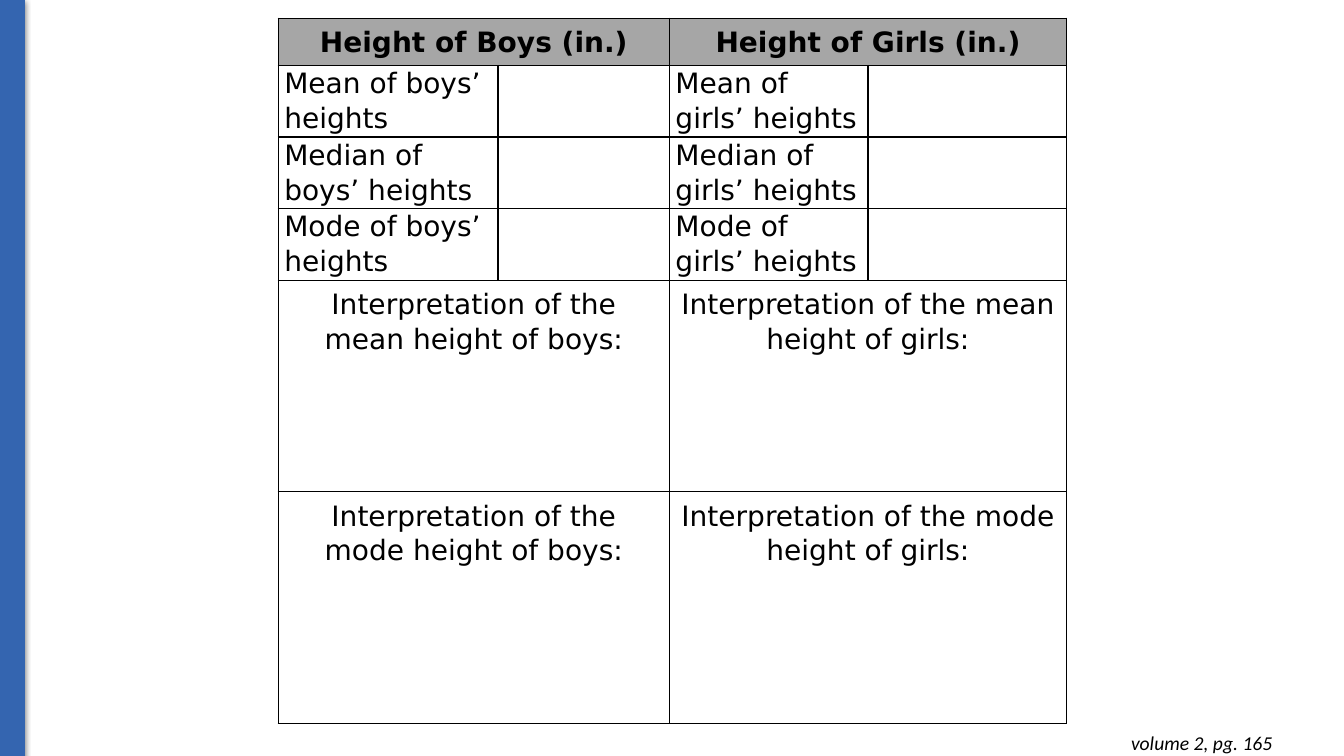
from lxml import etree
from pptx import Presentation
from pptx import oxml
from pptx import util as u
from pptx.dml.color import RGBColor
from pptx.enum import shapes, text
from pptx.oxml import ns

BLUE = RGBColor(0x34, 0x65, 0xB0)
GRAY = RGBColor(0xA6, 0xA6, 0xA6)
BLACK = RGBColor(0, 0, 0)

SHADOW = (
    f'<a:effectLst {ns.nsdecls("a")}>'
    '<a:outerShdw blurRad="57150" dist="19050" dir="5400000" algn="ctr" rotWithShape="0">'
    '<a:srgbClr val="000000"><a:alpha val="50000"/></a:srgbClr>'
    '</a:outerShdw></a:effectLst>'
)
BORDER = (
    '<a:{side} ' + ns.nsdecls("a") + ' w="12700">'
    '<a:solidFill><a:srgbClr val="{color}"/></a:solidFill></a:{side}>'
)


class SlideBuilder:
    table_font = "DejaVu Sans"
    note_font = "Calibri"

    def __init__(self, slide):
        self.slide = slide

    def style(self, p, font, size, align, bold=False, italic=False):
        p.alignment = align
        p.font.name, p.font.size = font, u.Pt(size)
        p.font.bold, p.font.italic = bold, italic
        p.font.color.rgb = BLACK

    def bar(self, left, top, width, height):
        sp = self.slide.shapes.add_shape(
            shapes.MSO_SHAPE.RECTANGLE, *map(u.Inches, (left, top, width, height)))
        sp.fill.solid()
        sp.fill.fore_color.rgb = BLUE
        sp.line.color.rgb = BLUE
        sp.line.width = u.Pt(0.75)
        sp._element.spPr.append(oxml.parse_xml(SHADOW))

    def table(self, left, top, widths, heights):
        frame = self.slide.shapes.add_table(
            len(heights), len(widths),
            *map(u.Inches, (left, top, sum(widths), sum(heights))))
        tbl = frame.table
        tbl.first_row = tbl.horz_banding = False
        for col, width in zip(tbl.columns, widths):
            col.width = u.Inches(width)
        for row, height in zip(tbl.rows, heights):
            row.height = u.Inches(height)
        for cell in tbl.iter_cells():
            tc_pr = cell._tc.get_or_add_tcPr()
            for side in ("lnL", "lnR", "lnT", "lnB"):
                tc_pr.append(etree.fromstring(BORDER.format(side=side, color=BLACK)))
            cell.fill.background()
        return tbl

    def cell(self, cell, words, align, margin_x, margin_y, bold=False):
        cell.margin_left = cell.margin_right = u.Inches(margin_x)
        cell.margin_top = cell.margin_bottom = u.Inches(margin_y)
        p = cell.text_frame.paragraphs[0]
        p.text = words
        p.line_spacing = 1.07
        self.style(p, self.table_font, 20, align, bold=bold)

    def wide_cell(self, tbl, row, col, words, header=False):
        cell = tbl.cell(row, col)
        cell.merge(tbl.cell(row, col + 1))
        self.cell(cell, words, text.PP_ALIGN.CENTER, 0.11, 0.06, bold=header)
        if header:
            cell.vertical_anchor = text.MSO_ANCHOR.MIDDLE
            cell.fill.solid()
            cell.fill.fore_color.rgb = GRAY

    def note(self, words, left, top, width, height):
        sp = self.slide.shapes.add_textbox(*map(u.Inches, (left, top, width, height)))
        tf = sp.text_frame
        tf.word_wrap = True
        tf.auto_size = text.MSO_AUTO_SIZE.SHAPE_TO_FIT_TEXT
        tf.margin_left = tf.margin_right = u.Inches(0.1)
        tf.margin_top = tf.margin_bottom = u.Inches(0.1)
        p = tf.paragraphs[0]
        p.text = words
        self.style(p, self.note_font, 14, text.PP_ALIGN.RIGHT, italic=True)


def main():
    prs = Presentation()
    prs.slide_width, prs.slide_height = u.Inches(13.33), u.Inches(7.5)
    s = SlideBuilder(prs.slides.add_slide(prs.slide_layouts[6]))

    # Side bar
    s.bar(0, 0, 0.24, 7.51)

    # Height statistics, one pair of columns per group
    tbl = s.table(2.76, 0.18, [2.18, 1.7, 1.97, 1.97],
                  [0.47, 0.71, 0.71, 0.71, 2.1, 2.3])
    for col, group in ((0, "boys"), (2, "girls")):
        s.wide_cell(tbl, 0, col, f"Height of {group.title()} (in.)", header=True)
        for row, measure in enumerate(("Mean", "Median", "Mode"), 1):
            s.cell(tbl.cell(row, col), f"{measure} of {group}’ heights",
                   text.PP_ALIGN.LEFT, 0.06, 0)
        for row, measure in enumerate(("mean", "mode"), 4):
            s.wide_cell(tbl, row, col,
                        f"Interpretation of the {measure} height of {group}:")

    # Page reference
    s.note("volume 2, pg. 165", 9.84, 7.15, 2.88, 0.44)

    prs.save("out.pptx")


if __name__ == "__main__":
    main()
